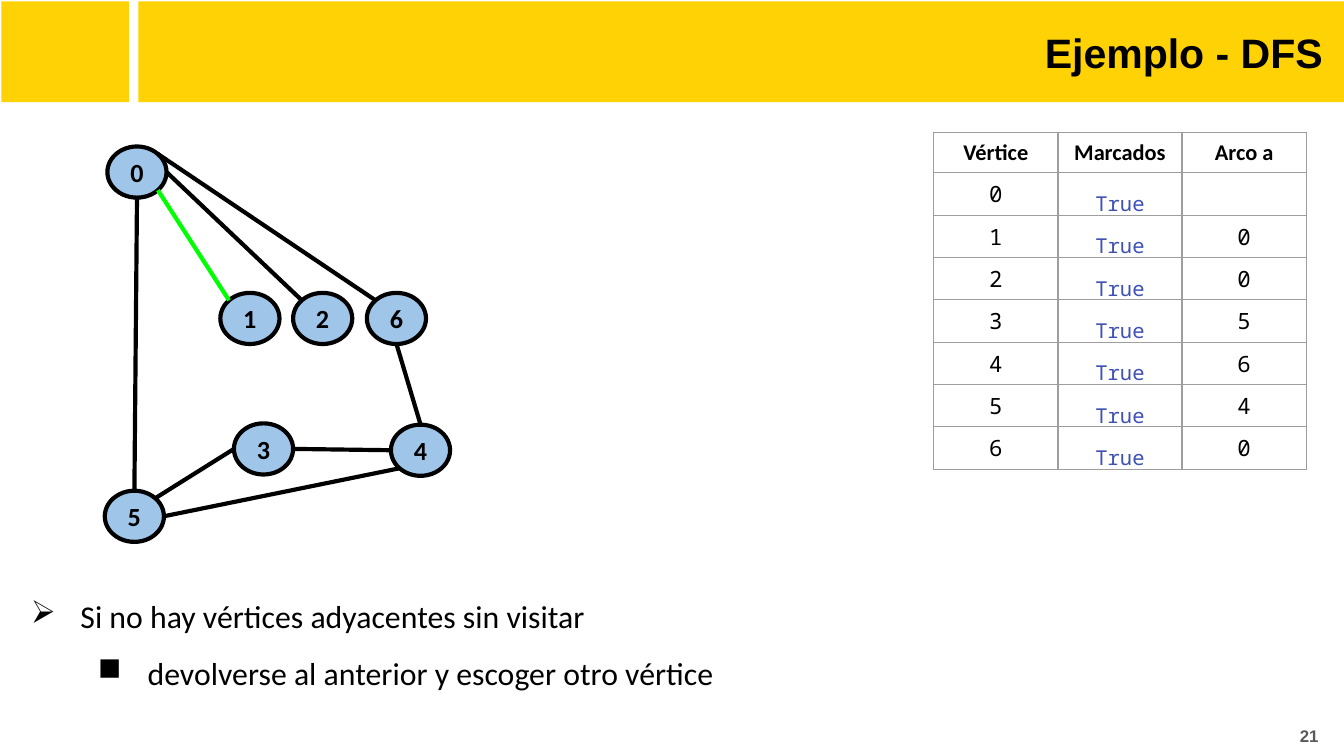
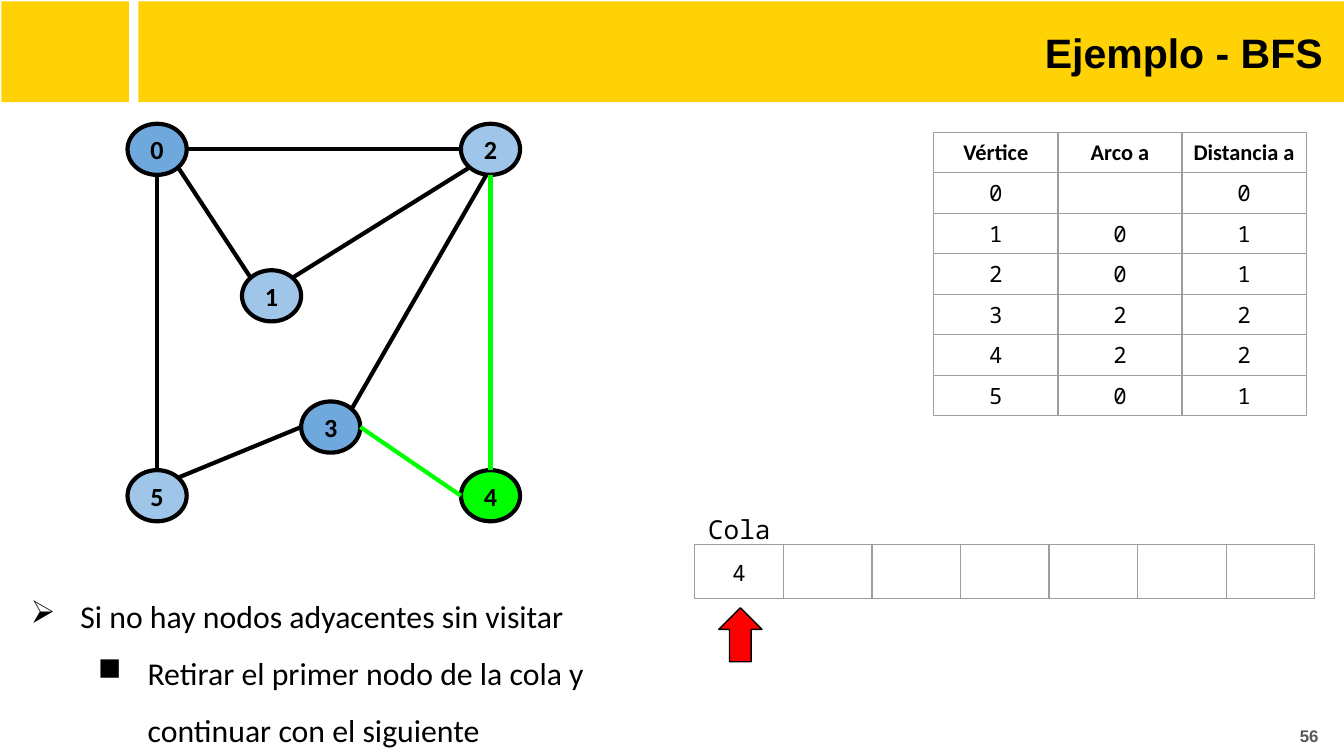
from dataclasses import dataclass
from enum import Enum
from math import cos, radians, sin
from typing import Any

from lxml.etree import SubElement
from pptx import Presentation
from pptx.dml.color import RGBColor
from pptx.enum.shapes import MSO_CONNECTOR, MSO_SHAPE
from pptx.enum.text import MSO_ANCHOR, PP_ALIGN
from pptx.oxml.ns import qn
from pptx.util import Pt

BLACK = RGBColor(0x00, 0x00, 0x00)
YELLOW = RGBColor(0xFE, 0xD2, 0x05)
LIGHT_BLUE = RGBColor(0x9F, 0xC5, 0xE8)
MID_BLUE = RGBColor(0x6F, 0xA8, 0xDC)
GREEN = RGBColor(0x00, 0xFF, 0x00)
RED = RGBColor(0xFF, 0x00, 0x00)
INDIGO = RGBColor(0x3F, 0x51, 0xB5)
GREY = RGBColor(0x59, 0x59, 0x59)
BORDER = RGBColor(0x9E, 0x9E, 0x9E)

# Font formats
TITLE = {"name": "Arial", "size": Pt(22), "bold": True, "color": BLACK}
PAGE_NUMBER = {"name": "Arial", "size": Pt(9), "bold": True, "color": GREY}
NODE_LABEL = {"name": "Calibri", "size": Pt(14), "bold": True, "color": BLACK}
BODY = {"name": "Calibri", "size": Pt(17), "color": BLACK}
TABLE_HEADER = {"name": "Calibri", "size": Pt(12), "bold": True, "color": BLACK}
TABLE_VALUE = {"name": "Noto Sans Mono", "size": Pt(12), "color": BLACK}
TABLE_FLAG = TABLE_VALUE | {"size": Pt(11), "color": INDIGO}
QUEUE_LABEL = TABLE_VALUE | {"size": Pt(14)}

NODE_WIDTH, NODE_HEIGHT = 31.7, 27.4
INSET = 7.2
BULLETS = ("➢", "■")


@dataclass(frozen=True)
class Box:
    left: float
    top: float
    width: float
    height: float

    def lengths(self) -> tuple:
        return Pt(self.left), Pt(self.top), Pt(self.width), Pt(self.height)


class Site(Enum):
    """Angles, clockwise from the right, where edges meet a node."""
    RIGHT = 0
    BOTTOM_RIGHT = 45
    BOTTOM = 90
    BOTTOM_LEFT = 135
    LEFT = 180
    TOP_LEFT = 225
    TOP = 270
    TOP_RIGHT = 315


@dataclass(frozen=True)
class Node:
    x: float
    y: float
    fill: RGBColor = LIGHT_BLUE

    def point(self, site: Site) -> tuple:
        angle = radians(site.value)
        return (Pt(self.x + NODE_WIDTH / 2 * cos(angle)),
                Pt(self.y + NODE_HEIGHT / 2 * sin(angle)))


@dataclass(frozen=True)
class Edge:
    start: int
    start_site: Site
    end: int
    end_site: Site
    color: RGBColor = BLACK
    behind: bool = False


@dataclass(frozen=True)
class Example:
    title: str
    page: int
    nodes: dict
    edges: tuple
    table: tuple
    bullets: tuple
    bullet_box: Box


DFS = Example(
    "Ejemplo - DFS", 21,
    {0: Node(73.4, 92.2), 1: Node(133.9, 170.6), 2: Node(172.9, 170.6),
     6: Node(212.4, 170.6), 5: Node(72, 276.6), 3: Node(141.2, 240.5),
     4: Node(225.3, 241.2)},
    (Edge(0, Site.BOTTOM_RIGHT, 1, Site.TOP_LEFT, GREEN),
     Edge(0, Site.RIGHT, 2, Site.TOP_LEFT),
     Edge(0, Site.TOP_RIGHT, 6, Site.TOP_LEFT),
     Edge(0, Site.BOTTOM, 5, Site.TOP),
     Edge(3, Site.LEFT, 5, Site.TOP_RIGHT),
     Edge(4, Site.LEFT, 3, Site.RIGHT),
     Edge(4, Site.BOTTOM_LEFT, 5, Site.RIGHT),
     Edge(4, Site.TOP, 6, Site.BOTTOM)),
    (("Vértice", "Marcados", "Arco a"),
     *((str(vertex), "True", origin) for vertex, origin in enumerate(("", *"005640")))),
    ("Si no hay vértices adyacentes sin visitar",
     "devolverse al anterior y escoger otro vértice"),
    Box(0, 302.4, 447, 66.2))

BFS = Example(
    "Ejemplo - BFS", 56,
    {0: Node(84.2, 80, MID_BLUE), 1: Node(145.5, 158.5), 2: Node(262.8, 80),
     5: Node(84.2, 265.6), 3: Node(177.2, 228.8, MID_BLUE),
     4: Node(262.8, 265.6, GREEN)},
    (Edge(2, Site.TOP_RIGHT, 3, Site.TOP_RIGHT, behind=True),
     Edge(0, Site.BOTTOM_RIGHT, 1, Site.TOP_LEFT),
     Edge(0, Site.RIGHT, 2, Site.LEFT),
     Edge(0, Site.BOTTOM, 5, Site.TOP),
     Edge(3, Site.LEFT, 5, Site.TOP_RIGHT),
     Edge(4, Site.LEFT, 3, Site.RIGHT, GREEN),
     Edge(4, Site.TOP, 2, Site.BOTTOM, GREEN),
     Edge(2, Site.BOTTOM_LEFT, 1, Site.TOP_RIGHT)),
    (("Vértice", "Arco a", "Distancia a"),
     *((str(vertex), origin, distance)
       for vertex, (origin, distance) in enumerate(zip(("", *"00220"), "011221")))),
    ("Si no hay nodos adyacentes sin visitar",
     "Retirar el primer nodo de la cola y continuar con el siguiente"),
    Box(0, 302.4, 340, 97.2))


def apply_format(font: Any, values: dict) -> None:
    for name, value in values.items():
        if name == "color":
            font.color.rgb = value
        else:
            setattr(font, name, value)


def write(paragraph: Any, text: str, values: dict, **layout: Any) -> None:
    for name, value in layout.items():
        setattr(paragraph, name, value)
    run = paragraph.add_run()
    run.text = text
    apply_format(run.font, values)


def set_insets(target: Any, inset: float) -> None:
    for side in ("left", "top", "right", "bottom"):
        setattr(target, f"margin_{side}", Pt(inset))


def add_text_box(slide: Any, box: Box, anchor: Any = MSO_ANCHOR.TOP) -> Any:
    frame = slide.shapes.add_textbox(*box.lengths()).text_frame
    frame.word_wrap = True
    frame.vertical_anchor = anchor
    set_insets(frame, INSET)
    return frame


def add_shape(slide: Any, kind: Any, box: Box, fill: RGBColor, line: float = 0) -> Any:
    shape = slide.shapes.add_shape(kind, *box.lengths())
    shape.shadow.inherit = False
    shape.fill.solid()
    shape.fill.fore_color.rgb = fill
    if line:
        shape.line.color.rgb = BLACK
        shape.line.width = Pt(line)
    else:
        shape.line.fill.background()
    return shape


def add_node(slide: Any, label: int, node: Node) -> None:
    box = Box(node.x - NODE_WIDTH / 2, node.y - NODE_HEIGHT / 2, NODE_WIDTH, NODE_HEIGHT)
    frame = add_shape(slide, MSO_SHAPE.OVAL, box, node.fill, 2.25).text_frame
    frame.vertical_anchor = MSO_ANCHOR.MIDDLE
    set_insets(frame, INSET)
    write(frame.paragraphs[0], str(label), NODE_LABEL, alignment=PP_ALIGN.CENTER)


def add_edge(slide: Any, nodes: dict, edge: Edge) -> None:
    start = nodes[edge.start].point(edge.start_site)
    end = nodes[edge.end].point(edge.end_site)
    connector = slide.shapes.add_connector(MSO_CONNECTOR.STRAIGHT, *start, *end)
    connector.line.color.rgb = edge.color
    connector.line.width = Pt(2.25)
    SubElement(connector._element.spPr, qn("a:effectLst"))


def add_graph(slide: Any, example: Example) -> None:
    for edge in example.edges:
        if edge.behind:
            add_edge(slide, example.nodes, edge)
    for label, node in example.nodes.items():
        add_node(slide, label, node)
    for edge in example.edges:
        if not edge.behind:
            add_edge(slide, example.nodes, edge)


def add_borders(cell: Any) -> None:
    properties = cell._tc.get_or_add_tcPr()
    for side in "LRTB":
        line = SubElement(properties, qn(f"a:ln{side}"), w=str(Pt(0.75)))
        fill = SubElement(line, qn("a:solidFill"))
        SubElement(fill, qn("a:srgbClr"), val=str(BORDER))


def add_table(slide: Any, rows: tuple, box: Box, inset: float, anchor: Any,
              has_header: bool = True) -> None:
    table = slide.shapes.add_table(len(rows), len(rows[0]), *box.lengths()).table
    table.first_row = table.horz_banding = False
    for row_index, row in enumerate(rows):
        for column_index, text in enumerate(row):
            cell = table.cell(row_index, column_index)
            set_insets(cell, inset)
            cell.vertical_anchor = anchor
            add_borders(cell)
            cell.fill.background()
            paragraph = cell.text_frame.paragraphs[0]
            if not text:
                # Keeps the empty cell as low as its neighbours
                SubElement(paragraph._p, qn("a:endParaRPr"), sz="1200")
            elif text == "True":
                write(paragraph, text, TABLE_FLAG, alignment=PP_ALIGN.CENTER, line_spacing=1.5)
            else:
                values = TABLE_HEADER if has_header and row_index == 0 else TABLE_VALUE
                write(paragraph, text, values, alignment=PP_ALIGN.CENTER)


def add_bullets(slide: Any, example: Example) -> None:
    frame = add_text_box(slide, example.bullet_box)
    for level, text in enumerate(example.bullets):
        paragraph = frame.paragraphs[0] if level == 0 else frame.add_paragraph()
        paragraph.level = level
        paragraph.line_spacing = 1.5
        properties = paragraph._p.get_or_add_pPr()
        properties.set("marL", str(Pt(36 * (level + 1))))
        properties.set("indent", str(Pt(-26.6)))
        color = SubElement(properties, qn("a:buClr"))
        SubElement(color, qn("a:srgbClr"), val=str(BLACK))
        SubElement(properties, qn("a:buChar"), char=BULLETS[level])
        write(paragraph, text, BODY)


def add_example(presentation: Any, example: Example) -> Any:
    slide = presentation.slides.add_slide(presentation.slide_layouts[6])
    # Bands, title and page number
    for left, width in ((74.2, 645.8), (0.7, 68.4)):
        add_shape(slide, MSO_SHAPE.RECTANGLE, Box(left, 0.7, width, 54), YELLOW)
    for text, values, box in (
            (example.title, TITLE, Box(77.8, 5, 637.9, 45.4)),
            (str(example.page), PAGE_NUMBER, Box(681.8, 378.7, 31.7, 31))):
        frame = add_text_box(slide, box, MSO_ANCHOR.MIDDLE)
        write(frame.paragraphs[0], text, values, alignment=PP_ALIGN.RIGHT)
    # Graph, vertex table and explanation
    add_graph(slide, example)
    add_table(slide, example.table, Box(500.2, 70.9, 199.6, 21.7 * len(example.table)),
              1.44, MSO_ANCHOR.MIDDLE)
    add_bullets(slide, example)
    return slide


def add_queue(slide: Any) -> None:
    add_table(slide, (("4", *[""] * 6),), Box(372.2, 291.6, 332.2, 28.8),
              INSET, MSO_ANCHOR.TOP, has_header=False)
    frame = add_text_box(slide, Box(372.2, 259.2, 332, 31.7))
    write(frame.paragraphs[0], "Cola", QUEUE_LABEL, line_spacing=1.5, space_after=Pt(12))
    arrow = add_shape(slide, MSO_SHAPE.DOWN_ARROW, Box(385, 325.6, 23.2, 28.9), RED, 0.75)
    arrow.rotation = 180


def main() -> None:
    presentation = Presentation()
    presentation.slide_width, presentation.slide_height = Pt(720), Pt(405)
    add_example(presentation, DFS)
    add_queue(add_example(presentation, BFS))
    presentation.save("out.pptx")


if __name__ == "__main__":
    main()
